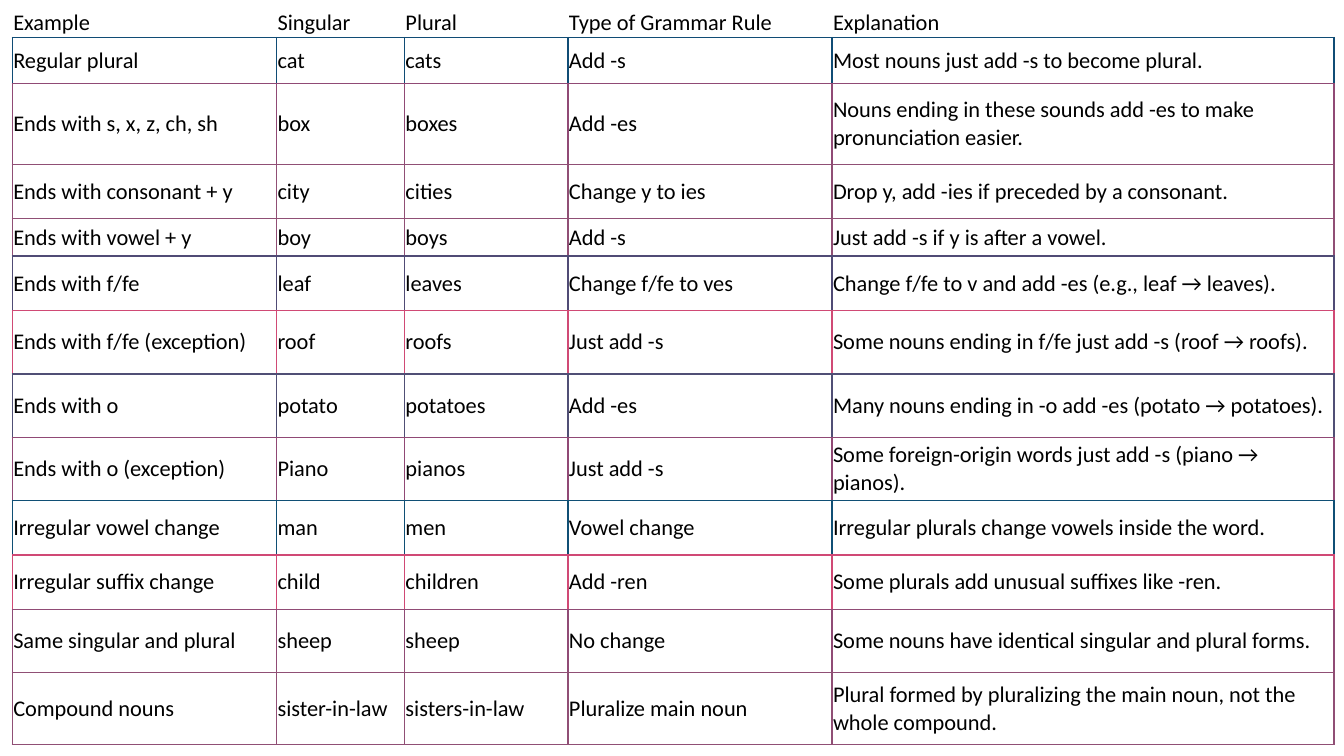
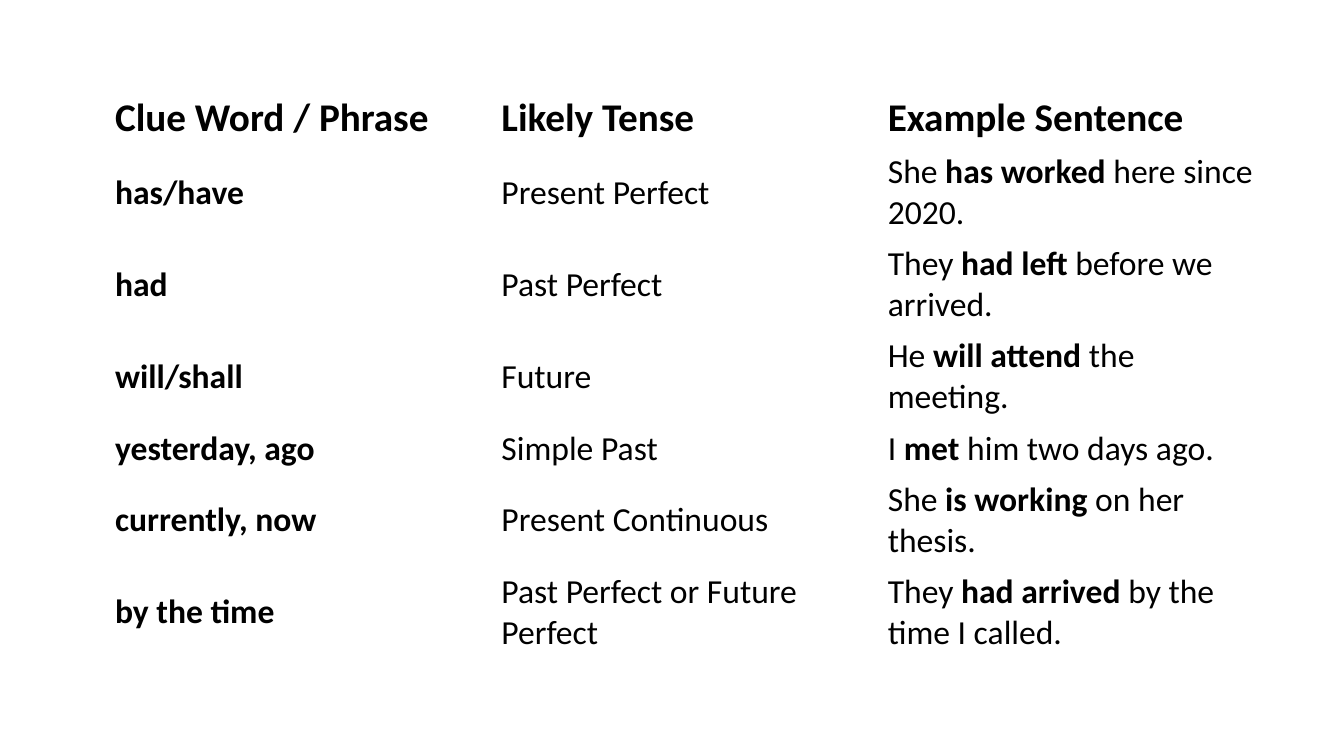
from lxml.etree import SubElement
from pptx import Presentation
from pptx.dml.color import RGBColor
from pptx.enum.text import MSO_ANCHOR
from pptx.oxml.ns import qn
from pptx.util import Pt

FONT = "Calibri"
NO_GRID_STYLE = "{2D5ABB26-0587-4C30-8999-92F81FD0307C}"
COLORS = {
    "text": "000000",
    "blue": "104C75",
    "plum": "904A75",
    "mauve": "904F75",
    "indigo": "504B75",
    "rose": "D04A75",
    "slate": "504F75",
    "berry": "904975",
    "teal": "104F75",
    "pink": "D04975",
    "wine": "904B75",
}

prs = Presentation()
prs.slide_width, prs.slide_height = Pt(960), Pt(540)


def add_table(rows, left, top, widths, heights, **fmt):
    """Add a slide with one unstyled table; *stars* in a text mark bold runs.

    fmt: size, header_size, header_bold, first_bold, header_anchor, inset.
    """
    s = prs.slides.add_slide(prs.slide_layouts[6])
    tbl = s.shapes.add_table(len(rows), len(widths), Pt(left), Pt(top),
                             Pt(sum(widths)), Pt(sum(heights))).table
    tbl.first_row = tbl.horz_banding = False
    tbl._tbl.tblPr.find(qn("a:tableStyleId")).text = NO_GRID_STYLE
    for col, width in zip(tbl.columns, widths):
        col.width = Pt(width)
    for i, (texts, height) in enumerate(zip(rows, heights)):
        tbl.rows[i].height = Pt(height)
        header = i == 0
        for j, text in enumerate(texts):
            cell = tbl.cell(i, j)
            cell.vertical_anchor = fmt["header_anchor"] if header else MSO_ANCHOR.MIDDLE
            if "inset" in fmt:
                cell.margin_left = cell.margin_right = Pt(fmt["inset"])
                cell.margin_top = cell.margin_bottom = Pt(fmt["inset"])
            bold = fmt["header_bold"] if header else fmt["first_bold"] and j == 0
            p = cell.text_frame.paragraphs[0]
            for k, part in enumerate(text.split("*")):
                r = p.add_run()
                r.text = part
                r.font.name = FONT
                r.font.size = Pt(fmt["header_size"] if header else fmt["size"])
                r.font.bold = bold or k % 2 == 1
                r.font.color.rgb = RGBColor.from_string(COLORS["text"])
    return tbl


def set_borders(cell, **colors):
    """Draw 1 pt cell borders; keys are L, R, T and B, in that order."""
    tcPr = cell._tc.get_or_add_tcPr()
    for side, color in colors.items():
        ln = SubElement(tcPr, qn(f"a:ln{side}"), w=str(Pt(1)))
        fill = SubElement(ln, qn("a:solidFill"))
        SubElement(fill, qn("a:srgbClr"), val=COLORS[color])


# Slide 1: plural rules
plurals = [
    ("Example", "Singular", "Plural", "Type of Grammar Rule", "Explanation"),
    ("Regular plural", "cat", "cats", "Add -s",
     "Most nouns just add -s to become plural."),
    ("Ends with s, x, z, ch, sh", "box", "boxes", "Add -es",
     "Nouns ending in these sounds add -es to make pronunciation easier."),
    ("Ends with consonant + y", "city", "cities", "Change y to ies",
     "Drop y, add -ies if preceded by a consonant."),
    ("Ends with vowel + y", "boy", "boys", "Add -s",
     "Just add -s if y is after a vowel."),
    ("Ends with f/fe", "leaf", "leaves", "Change f/fe to ves",
     "Change f/fe to v and add -es (e.g., leaf → leaves)."),
    ("Ends with f/fe (exception)", "roof", "roofs", "Just add -s",
     "Some nouns ending in f/fe just add -s (roof → roofs)."),
    ("Ends with o", "potato", "potatoes", "Add -es",
     "Many nouns ending in -o add -es (potato → potatoes)."),
    ("Ends with o (exception)", "Piano", "pianos", "Just add -s",
     "Some foreign-origin words just add -s (piano → pianos)."),
    ("Irregular vowel change", "man", "men", "Vowel change",
     "Irregular plurals change vowels inside the word."),
    ("Irregular suffix change", "child", "children", "Add -ren",
     "Some plurals add unusual suffixes like -ren."),
    ("Same singular and plural", "sheep", "sheep", "No change",
     "Some nouns have identical singular and plural forms."),
    ("Compound nouns", "sister-in-law", "sisters-in-law", "Pluralize main noun",
     "Plural formed by pluralizing the main noun, not the whole compound."),
]
tbl = add_table(
    plurals, 8.8, 5.8, [188.8, 91.4, 116.8, 188.6, 358.6],
    [21, 33, 57.5, 39, 26.7, 39, 45.2, 45.2, 45.2, 39, 39, 45.2, 51.2],
    size=16, header_size=16, header_bold=False, first_bold=False,
    header_anchor=MSO_ANCHOR.TOP, inset=0.7)

# Each row has its own colour; its bottom edge takes the colour of the row below
row_colors = ["blue", "plum", "mauve", "mauve", "indigo", "rose", "slate",
              "berry", "teal", "pink", "wine", "mauve"]
for i, below in enumerate(row_colors + ["mauve"]):
    for cell in tbl.rows[i].cells:
        if i == 0:
            set_borders(cell, B=below)
        else:
            own = row_colors[i - 1]
            set_borders(cell, L=own, R=own, T=own, B=below)

# Slide 2: tense clues
tenses = [
    ("Clue Word / Phrase", "Likely Tense", "Example Sentence"),
    ("has/have", "Present Perfect", "She *has worked* here since 2020."),
    ("had", "Past Perfect", "They *had left* before we arrived."),
    ("will/shall", "Future", "He *will attend* the meeting."),
    ("yesterday, ago", "Simple Past", "I *met* him two days ago."),
    ("currently, now", "Present Continuous", "She *is working* on her thesis."),
    ("by the time", "Past Perfect or Future Perfect",
     "They *had arrived* by the time I called."),
]
add_table(
    tenses, 75, 63.4, [276] * 3, [41, 65, 65, 65, 36, 65, 65],
    size=24, header_size=28, header_bold=True, first_bold=True,
    header_anchor=MSO_ANCHOR.MIDDLE)

prs.save("out.pptx")
